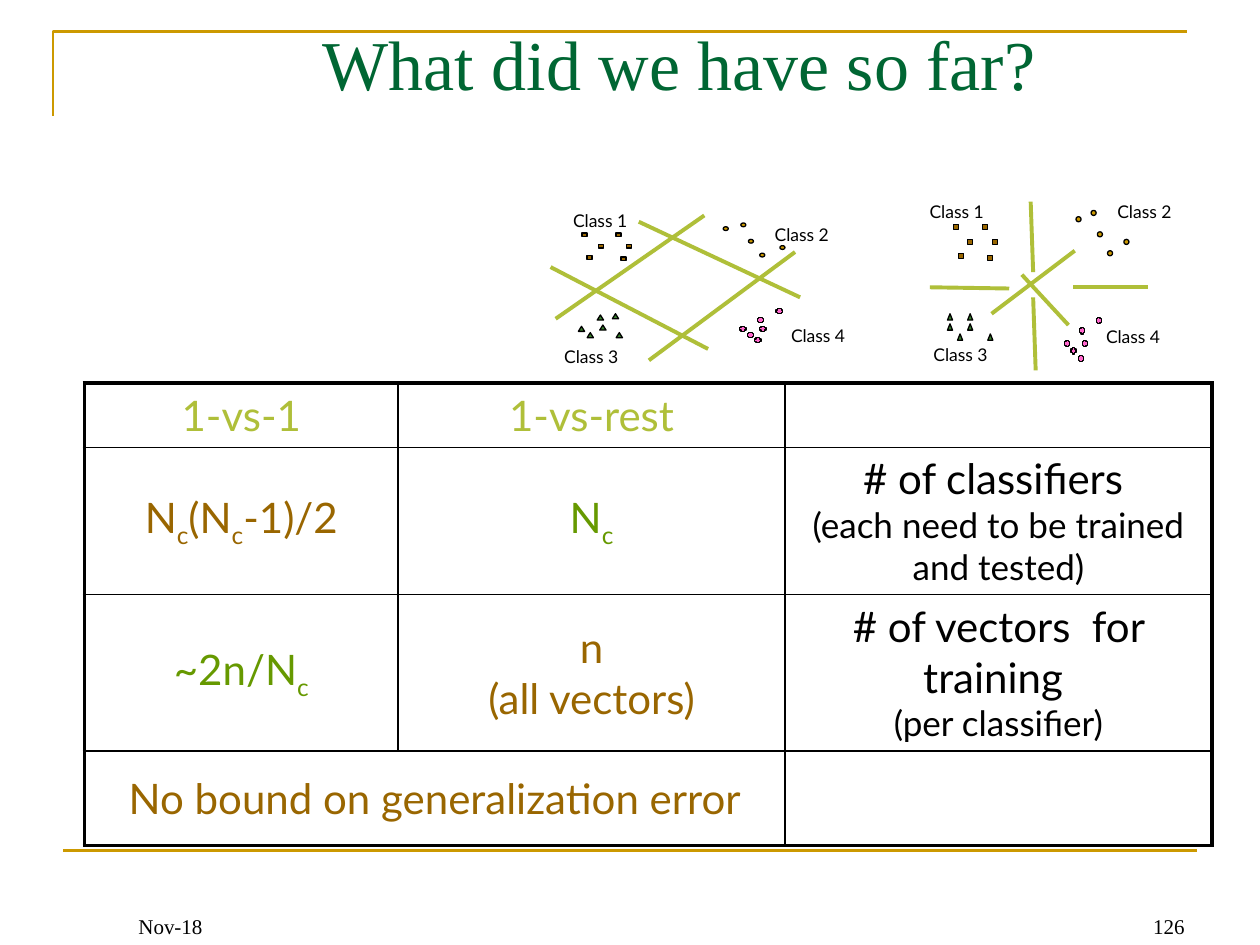
from lxml import etree
from pptx import Presentation
from pptx.dml.color import RGBColor
from pptx.enum.shapes import MSO_CONNECTOR, MSO_SHAPE
from pptx.enum.text import MSO_ANCHOR, PP_ALIGN
from pptx.oxml.ns import qn
from pptx.util import Inches, Pt

SQUARE, CIRCLE = MSO_SHAPE.RECTANGLE, MSO_SHAPE.OVAL
TRIANGLE, CROSS = MSO_SHAPE.ISOSCELES_TRIANGLE, MSO_SHAPE.CROSS
STRAIGHT = MSO_CONNECTOR.STRAIGHT
LEFT, CENTER, RIGHT = PP_ALIGN.LEFT, PP_ALIGN.CENTER, PP_ALIGN.RIGHT
TOP, MIDDLE, BOTTOM = MSO_ANCHOR.TOP, MSO_ANCHOR.MIDDLE, MSO_ANCHOR.BOTTOM

SERIF, SANS = "Times New Roman", "Lato"
BLACK, GOLD, BROWN = "000000", "CC9900", "996600"
LIME, GREEN, TITLE_GREEN = "AFBF39", "669900", "006633"

MARKERS = {
    "Class 1": (SQUARE, BROWN),
    "Class 2": (CIRCLE, GOLD),
    "Class 3": (TRIANGLE, "3B812F"),
    "Class 4": (CROSS, "FF66CC"),
}

ONE_VS_ONE = {
    "marker_sizes": {"Class 1": (0.04, 0.03), "Class 2": (0.04, 0.03),
                     "Class 3": (0.05, 0.04), "Class 4": (0.05, 0.04)},
    "labels": {"Class 1": (4.45, 1.62), "Class 2": (6.05, 1.73),
               "Class 3": (4.38, 2.7), "Class 4": (6.18, 2.53)},
    "points": {
        "Class 1": [(4.62, 1.85), (4.97, 1.94), (4.93, 2.04),
                    (4.75, 1.94), (4.66, 2.03), (4.89, 1.85)],
        "Class 2": [(5.88, 1.77), (5.94, 1.9), (6.19, 1.95),
                    (5.74, 1.8), (6.03, 2.01)],
        "Class 3": [(4.59, 2.59), (4.66, 2.64), (4.86, 2.49),
                    (4.76, 2.58), (4.89, 2.64), (4.74, 2.5)],
        "Class 4": [(5.87, 2.59), (5.93, 2.64), (6.03, 2.59),
                    (6.01, 2.52), (5.99, 2.68), (6.16, 2.45)],
    },
    "boundaries": [(4.41, 2.53, 5.59, 1.71), (5.07, 1.76, 6.35, 2.36),
                   (4.37, 2.12, 5.62, 2.77), (5.15, 2.86, 6.31, 2)],
}

ONE_VS_REST = {
    "marker_sizes": {"Class 1": (0.04, 0.04), "Class 2": (0.04, 0.04),
                     "Class 3": (0.04, 0.05), "Class 4": (0.04, 0.05)},
    "labels": {"Class 1": (7.28, 1.55), "Class 2": (8.77, 1.55),
               "Class 3": (7.31, 2.68), "Class 4": (8.68, 2.54)},
    "points": {
        "Class 1": [(7.57, 1.78), (7.88, 1.9), (7.84, 2.03),
                    (7.68, 1.9), (7.61, 2.01), (7.8, 1.78)],
        "Class 2": [(8.66, 1.67), (8.71, 1.84), (8.92, 1.9),
                    (8.54, 1.72), (8.79, 1.99)],
        "Class 3": [(7.68, 2.57), (7.6, 2.65), (7.68, 2.49),
                    (7.52, 2.57), (7.84, 2.65), (7.52, 2.49)],
        "Class 4": [(8.45, 2.7), (8.5, 2.76), (8.59, 2.7),
                    (8.57, 2.6), (8.56, 2.82), (8.7, 2.52)],
    },
    "boundaries": [(8.2, 2.16, 8.18, 1.6), (7.38, 2.28, 8.01, 2.29),
                   (8.53, 1.99, 7.87, 2.49), (9.11, 2.28, 8.52, 2.28),
                   (8.22, 2.94, 8.2, 2.36), (8.48, 2.58, 8.11, 2.18)],
}

COLUMN_WIDTHS = [2.49, 3.07, 3.39]
ROW_HEIGHTS = [0.51, 1.17, 1.24, 0.75]
SUB = {"baseline": -25}
SMALL = {"size": 20}
COMPARISON = [
    [(LIME, [("1-vs-1", {})]), (LIME, [("1-vs-rest", {})]), (BLACK, [])],
    [(BROWN, [("N", {}), ("c", SUB), ("(N", {}), ("c", SUB), ("-1)/2", {})]),
     (GREEN, [("N", {}), ("c", SUB)]),
     (BLACK, [("# of classifiers \n", {}),
              ("(each need to be trained and tested)", SMALL)])],
    [(GREEN, [("~2n/N", {}), ("c", SUB)]),
     (BROWN, [("n\n(all vectors)", {})]),
     (BLACK, [("# of vectors  for training \n", {}),
              ("(per classifier)", SMALL)])],
    [(BROWN, [("No bound on generalization error", {})]), (BLACK, []), (BLACK, [])],
]


def color(value):
    """Turn a hex string into a colour."""
    return RGBColor.from_string(value)


def add_text(para, text, size=24, font=SANS, fill=BLACK, baseline=0):
    """Add formatted text to a paragraph, with a line break at each newline."""
    for number, piece in enumerate(text.split("\n")):
        if number:
            para.add_line_break()
        if piece:
            span = para.add_run()
            span.text = piece
            span.font.size = Pt(size)
            span.font.name = font
            span.font.color.rgb = color(fill)
            if baseline:
                span.font._element.set("baseline", str(baseline * 1000))


def add_label(shapes, text, at, align=LEFT, anchor=TOP, wrap=True, **style):
    """Add a text box holding one line."""
    box = shapes.add_textbox(*map(Inches, at))
    frame = box.text_frame
    frame.word_wrap = wrap
    frame.vertical_anchor = anchor
    para = frame.paragraphs[0]
    para.alignment = align
    add_text(para, text, **style)


def add_line(shapes, ends, stroke, width):
    """Add a straight line without a shadow."""
    line = shapes.add_connector(STRAIGHT, *map(Inches, ends))
    line.line.color.rgb = color(stroke)
    line.line.width = Pt(width)
    etree.SubElement(line._element.spPr, qn("a:effectLst"))


def add_marker(shapes, kind, fill, at):
    """Add one data point."""
    marker = shapes.add_shape(kind, *map(Inches, at))
    marker.shadow.inherit = False
    marker.fill.solid()
    marker.fill.fore_color.rgb = color(fill)
    marker.line.color.rgb = color(BLACK)
    marker.line.width = Pt(0.75)


def add_corner_rule(shapes):
    """Add the open frame around the title."""
    builder = shapes.build_freeform(Inches(0.42), Inches(0.92))
    corners = [(0.42, 0.25), (9.42, 0.25)]
    builder.add_line_segments([(Inches(x), Inches(y)) for x, y in corners], close=False)
    rule = builder.convert_to_shape()
    rule.shadow.inherit = False
    rule.fill.background()
    rule.line.color.rgb = color(GOLD)
    rule.line.width = Pt(1.5)


def add_diagram(page, diagram):
    """Add a grouped scatter of four classes with its boundaries."""
    shapes = page.shapes.add_group_shape().shapes
    for name, (kind, fill) in MARKERS.items():
        for point in diagram["points"][name]:
            add_marker(shapes, kind, fill, point + diagram["marker_sizes"][name])
        add_label(shapes, name, diagram["labels"][name] + (0.63, 0.27), wrap=False, size=10)
    for ends in diagram["boundaries"]:
        add_line(shapes, ends, LIME, 2.25)


def set_borders(cell, outer_sides):
    """Draw black cell borders, thicker on the outer sides."""
    properties = cell._tc.get_or_add_tcPr()
    for side in "LRTB":
        width = Pt(2.25 if side in outer_sides else 1)
        border = etree.SubElement(properties, qn(f"a:ln{side}"), w=str(width))
        fill = etree.SubElement(border, qn("a:solidFill"))
        etree.SubElement(fill, qn("a:srgbClr"), val=BLACK)


def add_comparison(page):
    """Add the table that compares the two schemes."""
    last_row, last_column = len(ROW_HEIGHTS) - 1, len(COLUMN_WIDTHS) - 1
    at = (0.67, 3.04, sum(COLUMN_WIDTHS), sum(ROW_HEIGHTS))
    table = page.shapes.add_table(last_row + 1, last_column + 1, *map(Inches, at)).table
    table.first_row = table.horz_banding = False
    for column, width in zip(table.columns, COLUMN_WIDTHS):
        column.width = Inches(width)
    for row, height in zip(table.rows, ROW_HEIGHTS):
        row.height = Inches(height)
    for i, row in enumerate(COMPARISON):
        for j, (fill, spans) in enumerate(row):
            cell = table.cell(i, j)
            edges = {"T": i == 0, "B": i == last_row, "L": j == 0, "R": j == last_column}
            set_borders(cell, [side for side, outer in edges.items() if outer])
            cell.fill.background()
            cell.vertical_anchor = MIDDLE
            para = cell.text_frame.paragraphs[0]
            para.alignment = CENTER
            for text, style in spans:
                add_text(para, text, fill=fill, **style)
    table.cell(last_row, 0).merge(table.cell(last_row, 1))


def main():
    """Build the slide and save it."""
    deck = Presentation()
    deck.slide_width, deck.slide_height = Inches(10), Inches(7.5)
    page = deck.slides.add_slide(deck.slide_layouts[6])
    add_corner_rule(page.shapes)
    add_line(page.shapes, (0.5, 6.75, 9.5, 6.75), GOLD, 1.5)
    add_label(page.shapes, "What did we have so far?", (1, 0.08, 8.78, 0.83),
              align=CENTER, anchor=MIDDLE, size=40, font=SERIF, fill=TITLE_GREEN)
    add_comparison(page)
    for diagram in (ONE_VS_ONE, ONE_VS_REST):
        add_diagram(page, diagram)
    for text, left, align in (("Nov-18", 1, LEFT), ("126", 7.42, RIGHT)):
        add_label(page.shapes, text, (left, 7.17, 2.08, 0.33),
                  align=align, anchor=BOTTOM, size=12, font=SERIF)
    deck.save("out.pptx")


if __name__ == "__main__":
    main()
